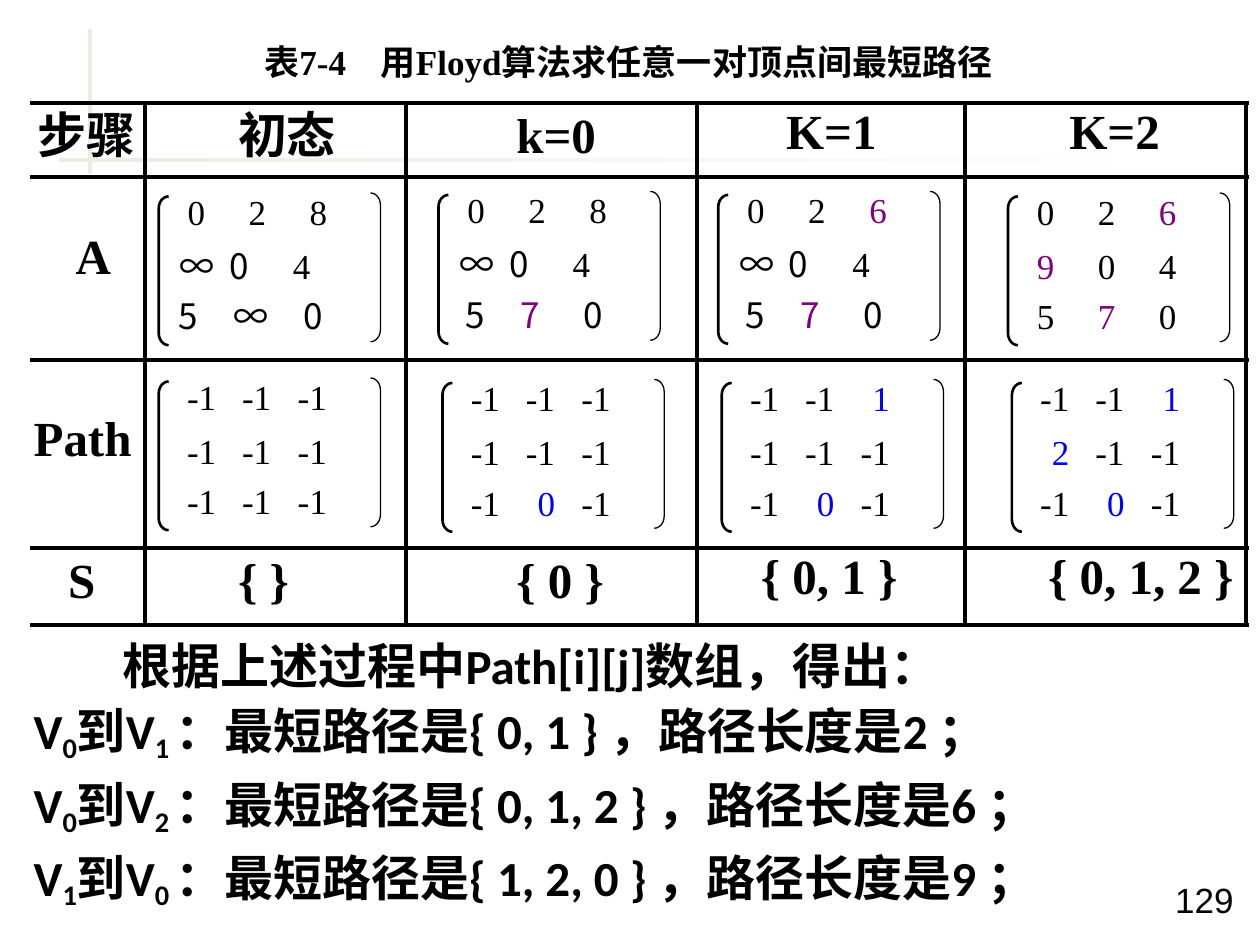
from lxml import etree
from pptx import Presentation, util as u
from pptx.dml.color import RGBColor
from pptx.enum import shapes, text
from pptx.oxml.ns import qn

Cm, Pt = u.Cm, u.Pt
COLORS = {"black": "000000", "beige": "EEECE1", "white": "FFFFFF",
          "purple": "800080", "blue": "0000FF"}
SERIF, SANS, CJK = "Times New Roman", "Calibri", "Noto Sans CJK SC"

# Matrix row styles: fonts of the three cells, tab alignment, tab stops in cm
ROW_STYLES = {
    "even": ([SERIF] * 3, "ctr", (0.36, 1.59, 2.82)),
    "infinity": ([CJK, CJK, SERIF], "ctr", (0.38, 1.22, 2.48)),
    "five": ([CJK] * 3, "ctr", (0.17, 1.46, 2.71)),
    "seven": ([CJK] * 3, "ctr", (0.34, 1.45, 2.72)),
    "path": ([SERIF] * 3, "r", (0.76, 1.87, 2.99)),
}
ROW_OFFSETS = (-0.05, 1.04, 2.06)

# A star marks a value changed from the initial state
COST_MATRICES = [
    (3.2, 3.89, [("0 2 8", "even"), ("∞ 0 4", "infinity"), ("5 ∞ 0", "five")]),
    (8.84, 3.86, [("0 2 8", "even"), ("∞ 0 4", "infinity"), ("5 *7 0", "seven")]),
    (14.48, 3.86, [("0 2 *6", "even"), ("∞ 0 4", "infinity"), ("5 *7 0", "seven")]),
    (20.32, 3.89, [("0 2 *6", "even"), ("*9 0 4", "even"), ("5 *7 0", "even")]),
]
PATH_MATRICES = [
    (3.2, 7.62, ["-1 -1 -1", "-1 -1 -1", "-1 -1 -1"]),
    (8.92, 7.65, ["-1 -1 -1", "-1 -1 -1", "-1 *0 -1"]),
    (14.55, 7.65, ["-1 -1 *1", "-1 -1 -1", "-1 *0 -1"]),
    (20.4, 7.65, ["-1 -1 *1", "*2 -1 -1", "-1 *0 -1"]),
]

# Cell text with left, top and width in cm
LABELS = [
    ("步骤", 0.61, 2.16, 2.26), ("初态", 4.55, 2.16, 2.4),
    ("k=0", 10.16, 2.16, 2.3), ("K=1", 15.6, 2.08, 2.4), ("K=2", 21.31, 2.08, 2.4),
    ("A", 1.27, 4.6, 1.22), ("Path", 0.43, 8.26, 2.4),
    ("S", 1.04, 11.13, 1.22), ("{ }", 4.55, 11.13, 1.7), ("{ 0 }", 10.16, 11.13, 2.3),
    ("{ 0, 1 }", 15.09, 11.05, 3.3), ("{ 0, 1, 2 }", 20.88, 11.05, 4.3),
]
CENTERED_LABELS = {"步骤", "A", "S"}

# From, to, shortest path, length
RESULTS = [("0", "1", "{ 0, 1 }", "2"), ("0", "2", "{ 0, 1, 2 }", "6"),
           ("1", "0", "{ 1, 2, 0 }", "9")]


def rgb(name):
    return RGBColor.from_string(COLORS[name])


def add_text_box(slide, left, top, width, height, anchor=text.MSO_ANCHOR.MIDDLE):
    box = slide.shapes.add_textbox(Cm(left), Cm(top), Cm(width), Cm(height))
    frame = box.text_frame
    frame.word_wrap = True
    frame.vertical_anchor = anchor
    return frame


def set_tabs(paragraph, align, stops):
    tabs = etree.SubElement(paragraph._p.get_or_add_pPr(), qn("a:tabLst"))
    for stop in stops:
        etree.SubElement(tabs, qn("a:tab"), pos=str(Cm(stop)), algn=align)


def style(paragraph, font, size, bold=False):
    paragraph.font.name = font
    paragraph.font.size = Pt(size)
    paragraph.font.bold = bold
    paragraph.font.color.rgb = rgb("black")


def add_run(paragraph, words, latin=None, color=None, subscript=False):
    run = paragraph.add_run()
    run.text = words
    if color:
        run.font.color.rgb = rgb(color)
    if latin:
        run.font.name = latin
    properties = run._r.get_or_add_rPr()
    if subscript:
        properties.set("baseline", "-18000")
    etree.SubElement(properties, qn("a:ea"), typeface=CJK)


def add_background(slide):
    for box, gradient in [((1.78, 0.58, 0.08, 2.92), False),
                          ((1.19, 3.18, 22.86, 0.08), True)]:
        bar = slide.shapes.add_shape(shapes.MSO_SHAPE.RECTANGLE, *map(Cm, box))
        bar.shadow.inherit = False
        bar.line.fill.background()
        if gradient:
            bar.fill.gradient()
            bar.fill.gradient_angle = 0
            for stop, color in zip(bar.fill.gradient_stops, ("beige", "white")):
                stop.color.rgb = rgb(color)
        else:
            bar.fill.solid()
            bar.fill.fore_color.rgb = rgb("beige")


def add_title(slide, left, top, width, height):
    paragraph = add_text_box(slide, left, top, width, height).paragraphs[0]
    paragraph.line_spacing = 0.9
    set_tabs(paragraph, "l", [2.35])
    style(paragraph, SERIF, 20, bold=True)
    add_run(paragraph, "表7-4\t用Floyd算法求任意一对顶点间最短路径")


def add_matrix(slide, left, top, rows, accent):
    # Brackets
    for kind, x, y, weight in [(shapes.MSO_SHAPE.LEFT_BRACKET, 0, 0.07, 1.5),
                               (shapes.MSO_SHAPE.RIGHT_BRACKET, 4.27, 0, 0.75)]:
        bracket = slide.shapes.add_shape(kind, Cm(left + x), Cm(top + y), Cm(0.2), Cm(3))
        bracket.adjustments[0] = 1.22
        bracket.shadow.inherit = False
        bracket.fill.background()
        bracket.line.color.rgb = rgb("black")
        bracket.line.width = Pt(weight)
    # Rows of values
    for offset, (values, row_style) in zip(ROW_OFFSETS, rows):
        fonts, align, stops = ROW_STYLES[row_style]
        frame = add_text_box(slide, left + 0.15, top + offset, 3.89, 0.94)
        paragraph = frame.paragraphs[0]
        paragraph.line_spacing = 0.9
        set_tabs(paragraph, align, stops)
        style(paragraph, SERIF, 20)
        for value, font in zip(values.split(), fonts):
            color = accent if value.startswith("*") else None
            add_run(paragraph, "\t" + value.lstrip("*"), font, color)


def add_grid(slide, left, top, right, bottom):
    rows = [top, 3.56, 7.26, 11.05, bottom]
    columns = [2.92, 8.18, 14.05, 19.46, right - 0.05]
    segments = [(left, y, right, y) for y in rows]
    segments += [(x, top, x, bottom) for x in columns]
    for segment in segments:
        line = slide.shapes.add_connector(shapes.MSO_CONNECTOR.STRAIGHT, *map(Cm, segment))
        line.line.color.rgb = rgb("black")
        line.line.width = Pt(2.25)
        etree.SubElement(line._element.spPr, qn("a:effectLst"))


def add_labels(slide):
    for words, left, top, width in LABELS:
        frame = add_text_box(slide, left, top, width, 1.24)
        frame.margin_right = 0
        paragraph = frame.paragraphs[0]
        paragraph.line_spacing = 0.9
        if words in CENTERED_LABELS:
            frame.margin_left = 0
            paragraph.alignment = text.PP_ALIGN.CENTER
        style(paragraph, SERIF, 28, bold=True)
        add_run(paragraph, words)


def add_results(slide, left, top, width, height):
    frame = add_text_box(slide, left, top, width, height, text.MSO_ANCHOR.TOP)
    lines = [[("根据上述过程中Path[i][j]数组，得出：", False)]]
    for start, end, route, length in RESULTS:
        lines.append([("V", False), (start, True), ("到V", False), (end + " ", True),
                      (f"：最短路径是{route} ，路径长度是{length} ；", False)])
    for index, (runs, gap) in enumerate(zip(lines, (0, 4, 6, 6))):
        paragraph = frame.add_paragraph() if index else frame.paragraphs[0]
        paragraph.line_spacing = Pt(36)
        paragraph.space_before = Pt(gap)
        if index == 0:
            paragraph._p.get_or_add_pPr().set("indent", str(Cm(1.8)))
        style(paragraph, SANS, 28, bold=True)
        for words, subscript in runs:
            add_run(paragraph, words, subscript=subscript)


def add_page_number(slide, left, top, width, height):
    frame = add_text_box(slide, left, top, width, height, text.MSO_ANCHOR.TOP)
    paragraph = frame.paragraphs[0]
    paragraph.line_spacing = 0.9
    style(paragraph, "Arial", 20)
    add_run(paragraph, "129")


def main():
    presentation = Presentation()
    presentation.slide_width, presentation.slide_height = Cm(25.4), Cm(19.05)
    slide = presentation.slides.add_slide(presentation.slide_layouts[6])
    add_background(slide)
    add_page_number(slide, 23.44, 17.68, 1.98, 1.02)
    add_results(slide, 0.43, 12.6, 24.56, 5.72)
    add_title(slide, 5.08, 0.82, 16, 0.94)
    for left, top, rows in COST_MATRICES:
        add_matrix(slide, left, top, rows, "purple")
    for left, top, rows in PATH_MATRICES:
        add_matrix(slide, left, top, [(row, "path") for row in rows], "blue")
    add_labels(slide)
    add_grid(slide, 0.61, 2.08, 25.17, 12.6)
    presentation.save("out.pptx")


if __name__ == "__main__":
    main()
